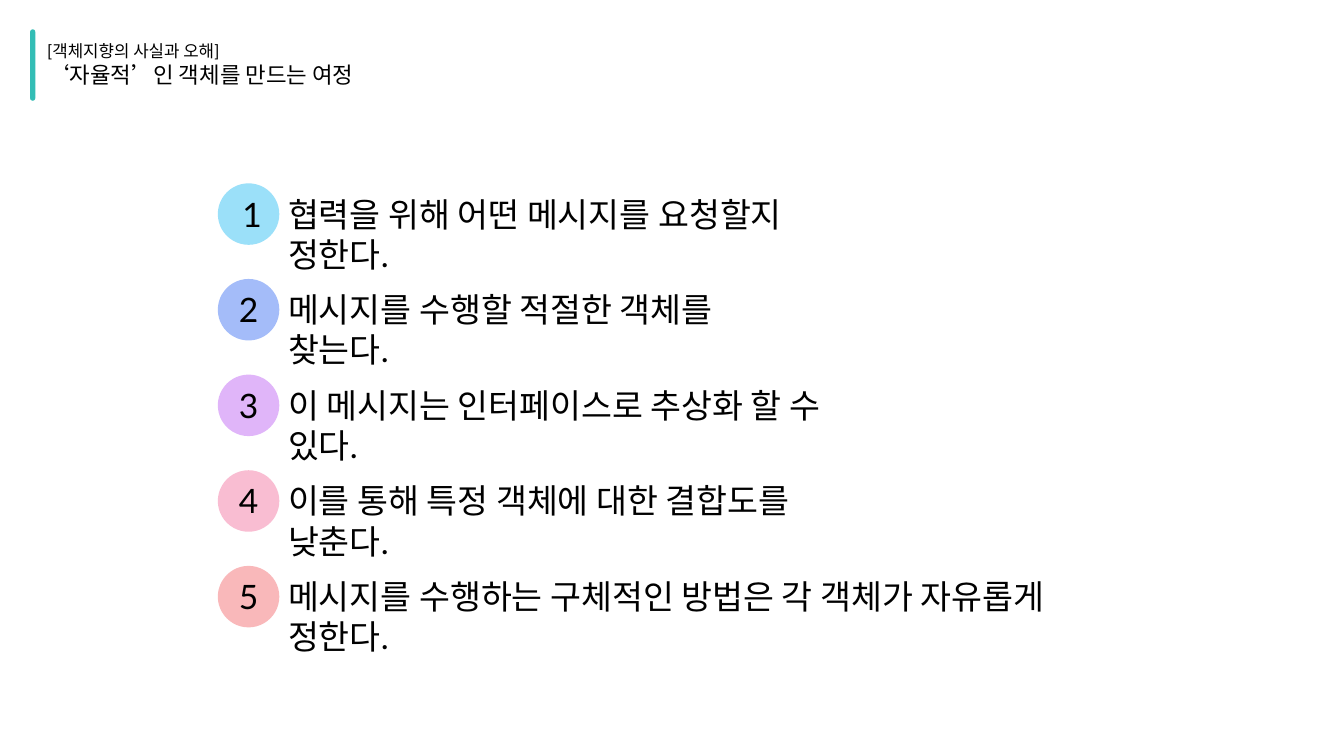
from dataclasses import dataclass

from pptx import Presentation
from pptx.dml.color import RGBColor
from pptx.enum.shapes import MSO_SHAPE
from pptx.enum.text import MSO_AUTO_SIZE, PP_ALIGN
from pptx.shapes.autoshape import Shape
from pptx.shapes.group import GroupShape
from pptx.util import Cm, Pt

ROUNDED, OVAL = MSO_SHAPE.ROUNDED_RECTANGLE, MSO_SHAPE.OVAL
LEFT, CENTER = PP_ALIGN.LEFT, PP_ALIGN.CENTER
GROW = MSO_AUTO_SIZE.SHAPE_TO_FIT_TEXT

COLORS = {
    "text": "000000",
    "accent": "33BDB5",
    "sky": "9BE0F9",
    "blue": "A4BCF9",
    "violet": "E0B5F9",
    "pink": "F9BDD2",
    "coral": "F9B8BA",
}

# Step list geometry, in cm
BADGE_LEFT, BADGE_TOP, BADGE_SIZE = 5.49, 4.62, 1.55
STEP_PITCH = 2.41
LABEL_LEFT, LABEL_OFFSET, LABEL_HEIGHT = 7.01, 0.13, 1.27


@dataclass
class Line:
    text: str
    size: float
    font: str = "Lato"


@dataclass
class Step:
    text: str
    color: str
    number_width: float
    text_width: float


HEADER = [
    Line("[객체지향의 사실과 오해]", 12),
    Line("‘자율적’인 객체를 만드는 여정", 16, "Arial"),
]
STEPS = [
    Step("협력을 위해 어떤 메시지를 요청할지 정한다.", "sky", 0.81, 14.96),
    Step("메시지를 수행할 적절한 객체를 찾는다.", "blue", 0.99, 13.41),
    Step("이 메시지는 인터페이스로 추상화 할 수 있다.", "violet", 0.99, 15.24),
    Step("이를 통해 특정 객체에 대한 결합도를 낮춘다.", "pink", 1.07, 15.44),
    Step("메시지를 수행하는 구체적인 방법은 각 객체가 자유롭게 정한다.", "coral", 0.99, 21.39),
]


def add_filled(group: GroupShape, kind: MSO_SHAPE, left: float, top: float,
               width: float, height: float, color: str) -> Shape:
    sp = group.shapes.add_shape(kind, Cm(left), Cm(top), Cm(width), Cm(height))
    sp.shadow.inherit = False
    sp.fill.solid()
    sp.fill.fore_color.rgb = RGBColor.from_string(COLORS[color])
    sp.line.fill.background()
    return sp


def add_text(group: GroupShape, left: float, top: float, width: float,
             height: float, lines: list[Line], align: PP_ALIGN = LEFT) -> None:
    box = group.shapes.add_textbox(Cm(left), Cm(top), Cm(width), Cm(height))
    tf = box.text_frame
    tf.word_wrap = True
    tf.auto_size = GROW
    for i, line in enumerate(lines):
        p = tf.add_paragraph() if i else tf.paragraphs[0]
        p.alignment = align
        r = p.add_run()
        r.text = line.text
        r.font.size = Pt(line.size)
        r.font.name = line.font
        r.font.color.rgb = RGBColor.from_string(COLORS["text"])


def add_step(group: GroupShape, index: int, step: Step) -> None:
    top = BADGE_TOP + index * STEP_PITCH
    label_top = top + LABEL_OFFSET
    number_left = BADGE_LEFT + (BADGE_SIZE - step.number_width) / 2
    add_filled(group, OVAL, BADGE_LEFT, top, BADGE_SIZE, BADGE_SIZE, step.color)
    add_text(group, number_left, label_top, step.number_width, LABEL_HEIGHT,
             [Line(str(index + 1), 24)], CENTER)
    add_text(group, LABEL_LEFT, label_top, step.text_width, LABEL_HEIGHT,
             [Line(step.text, 24)])


def main() -> None:
    prs = Presentation()
    prs.slide_width, prs.slide_height = Cm(33.87), Cm(19.05)
    s = prs.slides.add_slide(prs.slide_layouts[6])

    header = s.shapes.add_group_shape()
    add_text(header, 0.94, 0.91, 13.46, 1.45, HEADER)
    bar = add_filled(header, ROUNDED, 0.76, 0.74, 0.13, 1.8, "accent")
    bar.adjustments[0] = 0.5

    steps = s.shapes.add_group_shape()
    for i, step in enumerate(STEPS):
        add_step(steps, i, step)

    prs.save("out.pptx")


if __name__ == "__main__":
    main()
